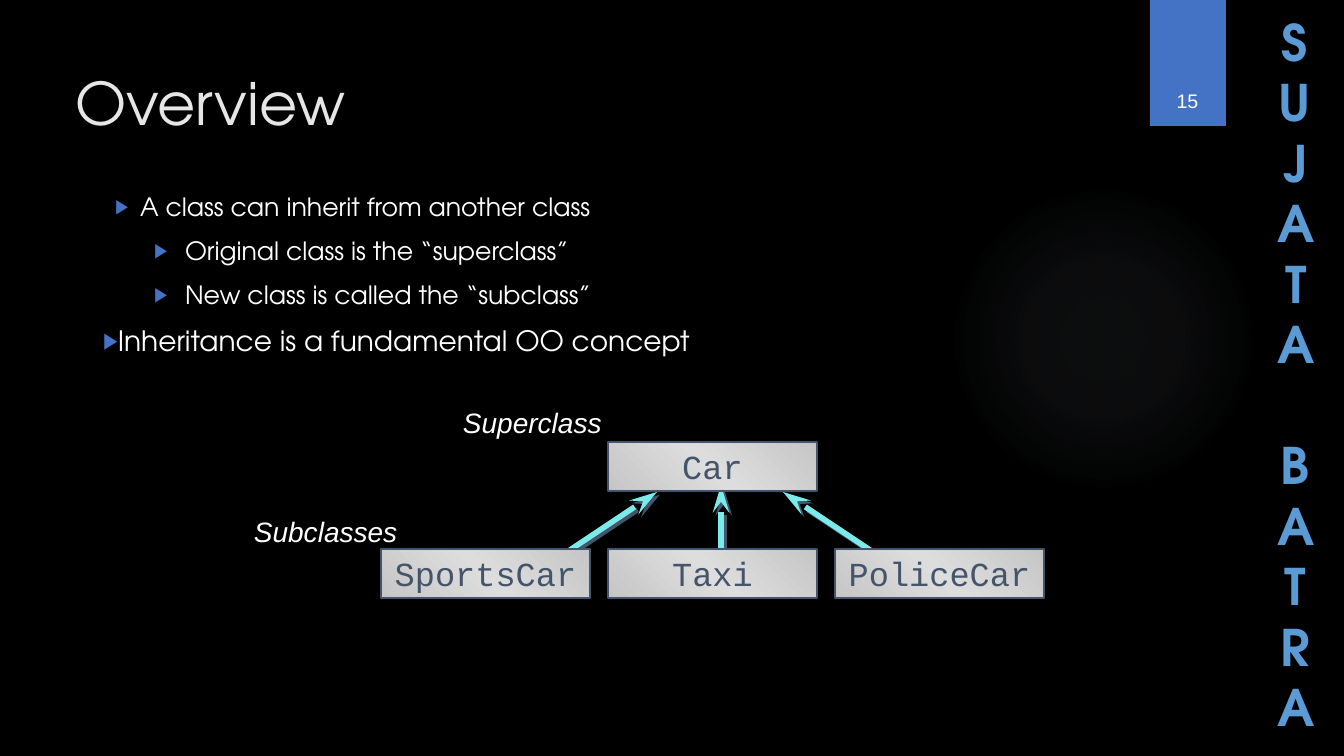
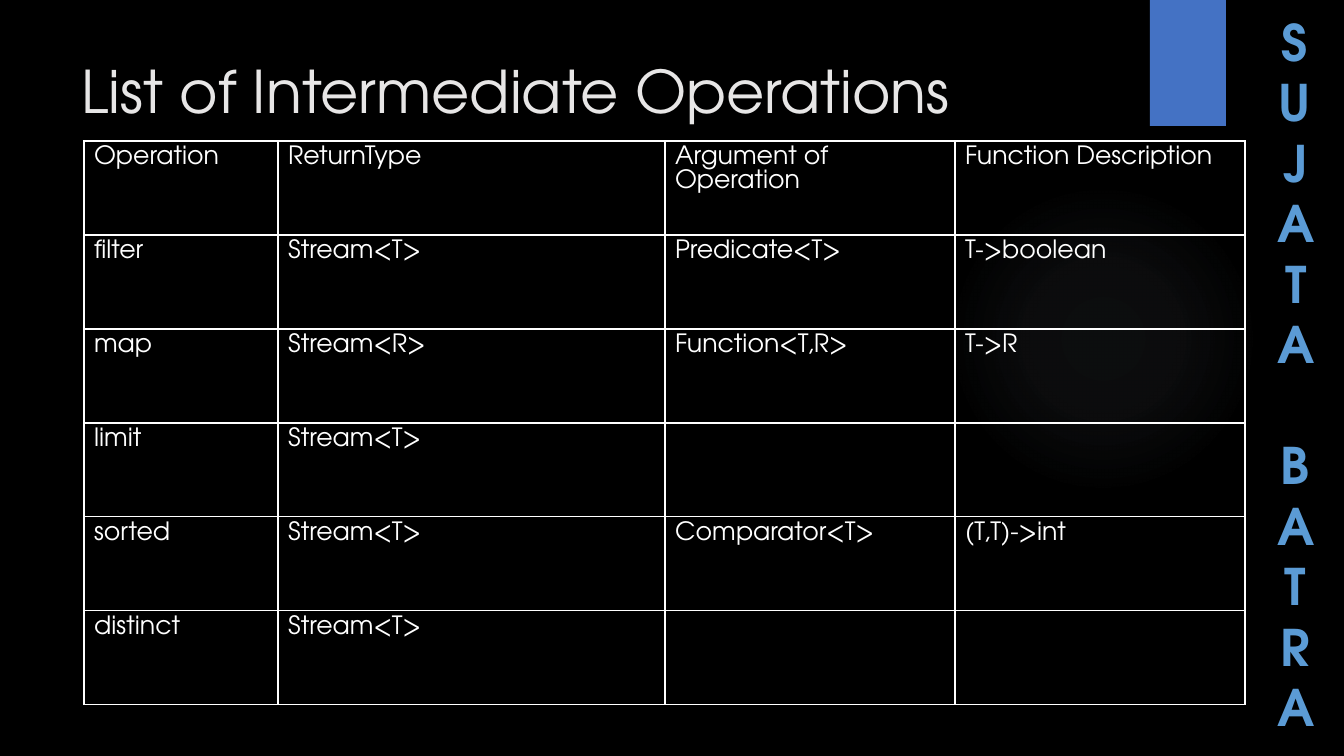
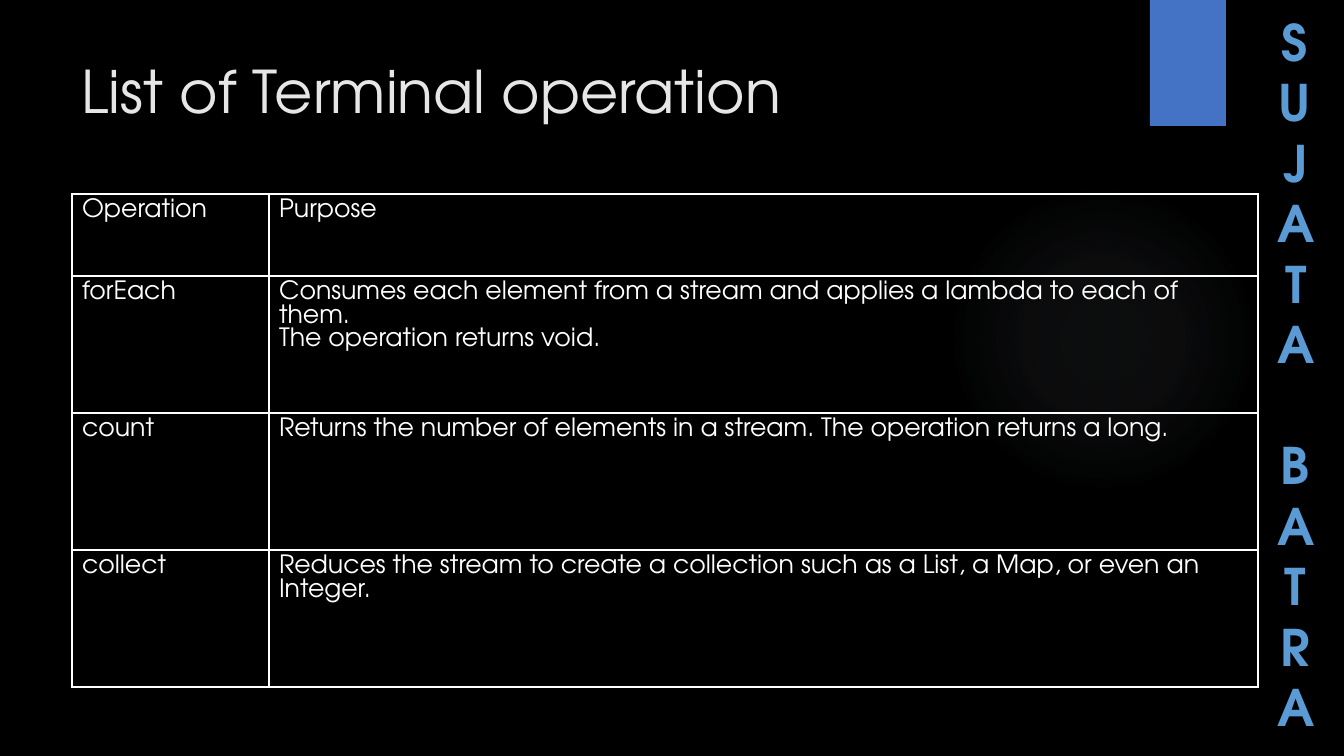
from pptx import Presentation
from pptx.dml.color import RGBColor
from pptx.enum.shapes import MSO_CONNECTOR, MSO_SHAPE
from pptx.enum.text import MSO_ANCHOR, MSO_AUTO_SIZE, PP_ALIGN
from pptx.oxml import parse_xml
from pptx.oxml.ns import nsdecls, qn
from pptx.util import Emu, Pt

RECT, OVAL = MSO_SHAPE.RECTANGLE, MSO_SHAPE.OVAL
LINE = MSO_CONNECTOR.STRAIGHT
LEFT, MID = PP_ALIGN.LEFT, PP_ALIGN.CENTER
TOP, CORE, LOW = MSO_ANCHOR.TOP, MSO_ANCHOR.MIDDLE, MSO_ANCHOR.BOTTOM
FIXED = MSO_AUTO_SIZE.NONE

# Shared look
SCALE = 9071.43  # EMU in one px
WIDE, HIGH = 1344, 756
BLACK, WHITE, PALE = "000000", "FFFFFF", "E7E6E6"
BLUE, SKY, SLATE, CYAN, MIST = "4472C4", "5B9BD5", "44546A", "7BEAEA", "ADB9CA"
FACE = "TeX Gyre Adventor"
HEAD = dict(name=FACE, size=42, color=PALE)
SIDE = dict(name=FACE, size=36, color=SKY, bold=True)
BODY = dict(name=FACE, size=18, color=WHITE)
LAST = dict(BODY, size=20)
NOTE = dict(name="Arial", size=20, color=WHITE, italic=True)
PAGE = dict(name="Arial", size=14, color=WHITE)
CODE = dict(name="Courier New", size=24, color=SLATE)

# Content: overview
WORDS = ["SUJATA", "BATRA"]
POINTS = [  # text, level, left margin, indent, format
    ("A class can inherit from another class", 1, 37, -25, BODY),
    ("Original class is the “superclass”", 2, 82, -31, BODY),
    ("New class is called the “subclass”", 2, 82, -31, BODY),
    ("Inheritance is a fundamental OO concept", 0, 0, 0, LAST),
]
KIDS = ["SportsCar", "Taxi", "PoliceCar"]
BOX_W, BOX_H, GAP = 209, 49, 18
KID_X, KID_Y, CAR_Y = 381, 549, 442
ARROWS = [(721, 550, 721, 485), (552, 562, 657, 492), (888, 562, 783, 492)]
LABELS = [("Superclass", (453, 403, 173, 42)), ("Subclasses", (244, 512, 188, 42))]

# Content: tables
TABLES = [
    dict(title="List of Intermediate Operations", at=(84, 141),
         cols=[194, 387, 290, 290], rows=[94] * 6, cells=[
             ["Operation", "ReturnType", "Argument of Operation", "Function Description"],
             ["filter", "Stream<T>", "Predicate<T>", "T->boolean"],
             ["map", "Stream<R>", "Function<T,R>", "T->R"],
             ["limit", "Stream<T>", "", ""],
             ["sorted", "Stream<T>", "Comparator<T>", "(T,T)->int"],
             ["distinct", "Stream<T>", "", ""]]),
    dict(title="List of Terminal operation", at=(72, 194),
         cols=[197, 989], rows=[82] + [137] * 3, cells=[
             ["Operation", "Purpose"],
             ["forEach", "Consumes each element from a stream and applies a lambda to each of them.\n"
                         "The operation returns void."],
             ["count", "Returns the number of elements in a stream. The operation returns a long."],
             ["collect", "Reduces the stream to create a collection such as a List, a Map, or even an\n"
                         "Integer."]]),
]


def px(val):
    return Emu(round(val * SCALE))


def rgb(code):
    return RGBColor.from_string(code)


def xml(text):
    tag, rest = text.split(" ", 1)
    return parse_xml(f"{tag} {nsdecls('a')} {rest}")


def style(font, look):
    for key, val in look.items():
        if key == "color":
            font.color.rgb = rgb(val)
        else:
            setattr(font, key, Pt(val) if key == "size" else val)


def write(frame, lines, look, **form):
    """Fill a text frame, one paragraph for each line."""
    frame.text = "\n".join(lines)
    for para in frame.paragraphs:
        for key, val in form.items():
            setattr(para, key, val)
        for run in para.runs:
            style(run.font, look)


def place(shape, spot):
    for key, val in zip(("left", "top", "width", "height"), spot):
        setattr(shape, key, px(val))


def label(slide, spot, lines, look, anchor=TOP, **form):
    box = slide.shapes.add_textbox(*map(px, spot))
    box.text_frame.word_wrap = True
    box.text_frame.vertical_anchor = anchor
    write(box.text_frame, lines, look, **form)
    return box


def block(slide, kind, spot, fill=None, edge=None):
    shape = slide.shapes.add_shape(kind, *map(px, spot))
    shape.shadow.inherit = False
    if fill:
        shape.fill.solid()
        shape.fill.fore_color.rgb = rgb(fill)
    if edge:
        shape.line.color.rgb = rgb(edge)
        shape.line.width = Pt(1)
    else:
        shape.line.fill.background()
    return shape


def blend(shape, stops, way):
    """Give a gradient of (percent, colour, opacity) stops."""
    shape.fill.background()
    marks = "".join(
        f'<a:gs pos="{pos * 1000}"><a:srgbClr val="{code}">'
        f'<a:alpha val="{seen * 1000}"/></a:srgbClr></a:gs>'
        for pos, code, seen in stops)
    props = shape.element.spPr
    props.replace(props.find(qn("a:noFill")),
                  xml(f'<a:gradFill rotWithShape="1"><a:gsLst>{marks}</a:gsLst>{way}</a:gradFill>'))


def theme(deck, slide):
    """Put the glow, the tab and the side name on the master."""
    master = deck.slide_master
    master.background.fill.solid()
    master.background.fill.fore_color.rgb = rgb(BLACK)
    glow = block(slide, OVAL, (948, 184, 310, 310))
    blend(glow, [(0, MIST, 7), (36, MIST, 6), (69, MIST, 0)],
          '<a:path path="circle"><a:fillToRect l="50000" t="50000" r="50000" b="50000"/></a:path>')
    tab = block(slide, RECT, (1150, 0, 76, 126), BLUE)
    # The narrow box breaks each word into a column of letters
    side = label(slide, (1268, 6, 54, 743), WORDS, SIDE, alignment=MID)
    side.text_frame.paragraphs[1].space_before = Pt(43.2)
    for num, part in enumerate((glow, tab, side), 20):
        part.element.xpath(".//p:cNvPr")[0].set("id", str(num))
        master.shapes.element.append(part.element)


def title(slide, text, spot):
    head = slide.shapes.title
    place(head, spot)
    head.text_frame.auto_size = FIXED
    head.text_frame.vertical_anchor = TOP
    write(head.text_frame, [text], HEAD, alignment=LEFT)


def bullets(slide):
    body = slide.placeholders[1]
    place(body, (93, 186, 1026, 178))
    frame = body.text_frame
    frame.auto_size = FIXED
    write(frame, [row[0] for row in POINTS], BODY, space_before=Pt(10))
    for para, (_, level, left, dent, look) in zip(frame.paragraphs, POINTS):
        para.level = level
        style(para.runs[0].font, look)
        props = para._p.get_or_add_pPr()
        props.set("marL", str(px(left)))
        props.set("indent", str(px(dent)))
        for part in (f'<a:buClr ><a:srgbClr val="{BLUE}"/></a:buClr>',
                     '<a:buSzPct val="80000"/>', '<a:buChar char="▶"/>'):
            props.append(xml(part))


def arrow(slide, ends):
    line = slide.shapes.add_connector(LINE, *map(px, ends))
    line.line.color.rgb = rgb(CYAN)
    line.line.width = Pt(4)
    props = line.element.spPr
    props.find(qn("a:ln")).append(xml('<a:tailEnd type="stealth" len="lg"/>'))
    props.append(xml(
        '<a:effectLst ><a:outerShdw dist="35560" dir="2700000" algn="ctr" rotWithShape="0">'
        f'<a:srgbClr val="{SLATE}"/></a:outerShdw></a:effectLst>'))


def node(slide, text, left, top):
    box = block(slide, RECT, (left, top, BOX_W, BOX_H), edge=SLATE)
    blend(box, [(0, "C6C6C6", 100), (50, "DDDDDD", 100), (100, "C6C6C6", 100)],
          '<a:lin ang="18900000" scaled="1"/>')
    box.text_frame.word_wrap = False
    box.text_frame.vertical_anchor = CORE
    write(box.text_frame, [text], CODE, alignment=MID)


def tree(slide):
    for ends in ARROWS:
        arrow(slide, ends)
    step = BOX_W + GAP
    node(slide, "Car", KID_X + step, CAR_Y)
    for col, kid in enumerate(KIDS):
        node(slide, kid, KID_X + col * step, KID_Y)
    for text, spot in LABELS:
        label(slide, spot, [text], NOTE, line_spacing=0.95)


def table(slide, data):
    cols, rows = data["cols"], data["rows"]
    spot = (*data["at"], sum(cols), sum(rows))
    grid = slide.shapes.add_table(len(rows), len(cols), *map(px, spot)).table
    grid.first_row = grid.horz_banding = False
    for col, size in zip(grid.columns, cols):
        col.width = px(size)
    for row, size, texts in zip(grid.rows, rows, data["cells"]):
        row.height = px(size)
        for cell, text in zip(row.cells, texts):
            if text:
                write(cell.text_frame, text.split("\n"), BODY)
            props = cell._tc.get_or_add_tcPr()
            for edge in "LRTB":
                props.append(xml(f'<a:ln{edge} w="12700"><a:solidFill><a:srgbClr val="{WHITE}"/>'
                                 f'</a:solidFill></a:ln{edge}>'))
            cell.fill.background()


def main():
    deck = Presentation()
    deck.slide_width, deck.slide_height = px(WIDE), px(HIGH)
    listed, plain = deck.slide_layouts[1], deck.slide_layouts[5]

    # Overview
    slide = deck.slides.add_slide(listed)
    theme(deck, slide)
    title(slide, "Overview", (65, 62, 1043, 126))
    bullets(slide)
    label(slide, (1141, 32, 93, 85), ["15"], PAGE, LOW, alignment=MID)
    tree(slide)

    # Operations
    for data in TABLES:
        slide = deck.slides.add_slide(plain)
        title(slide, data["title"], (71, 50, 1037, 154))
        table(slide, data)

    deck.save("out.pptx")


if __name__ == "__main__":
    main()
